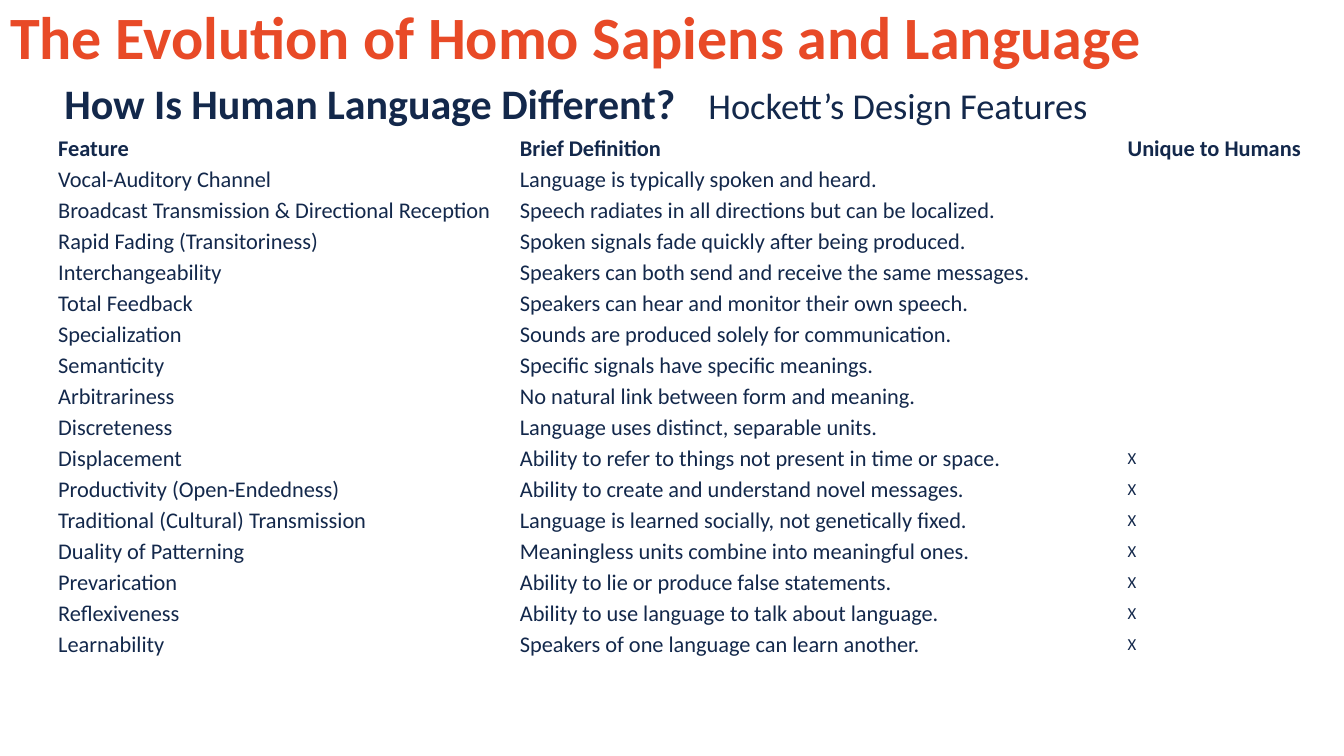
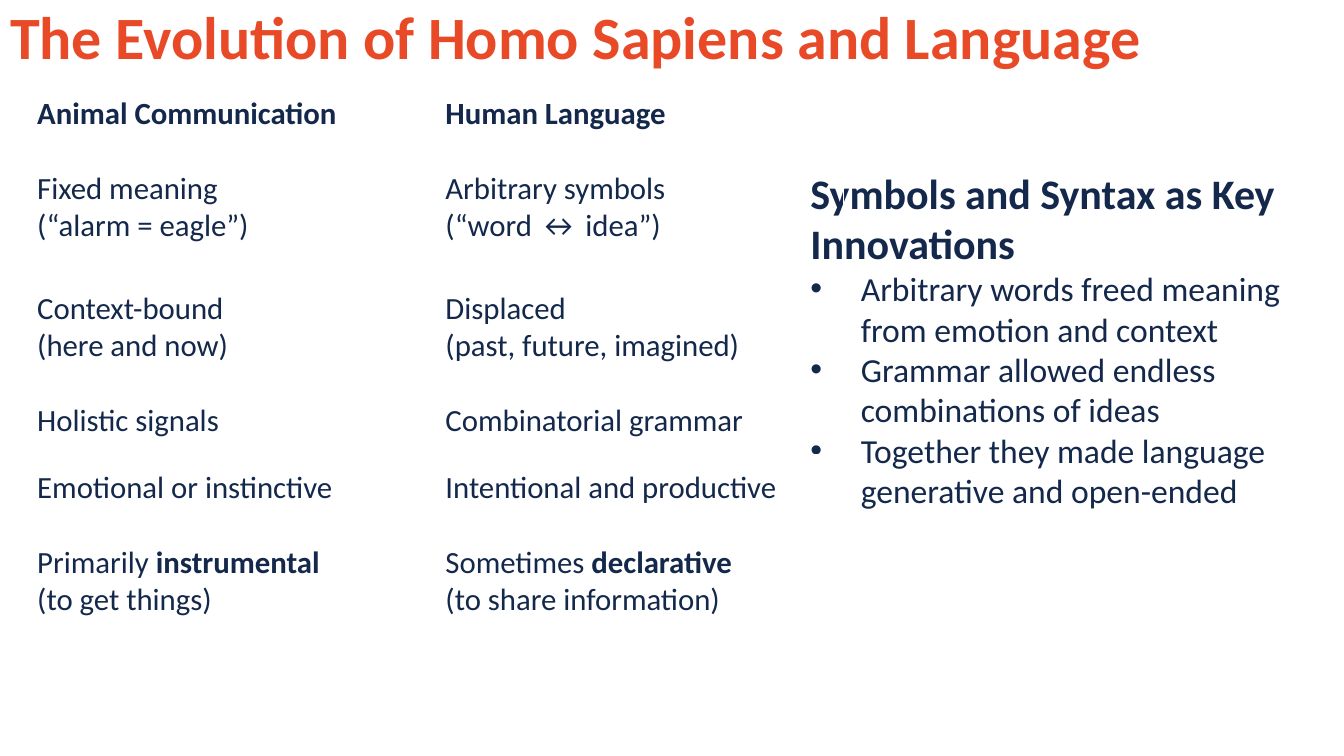
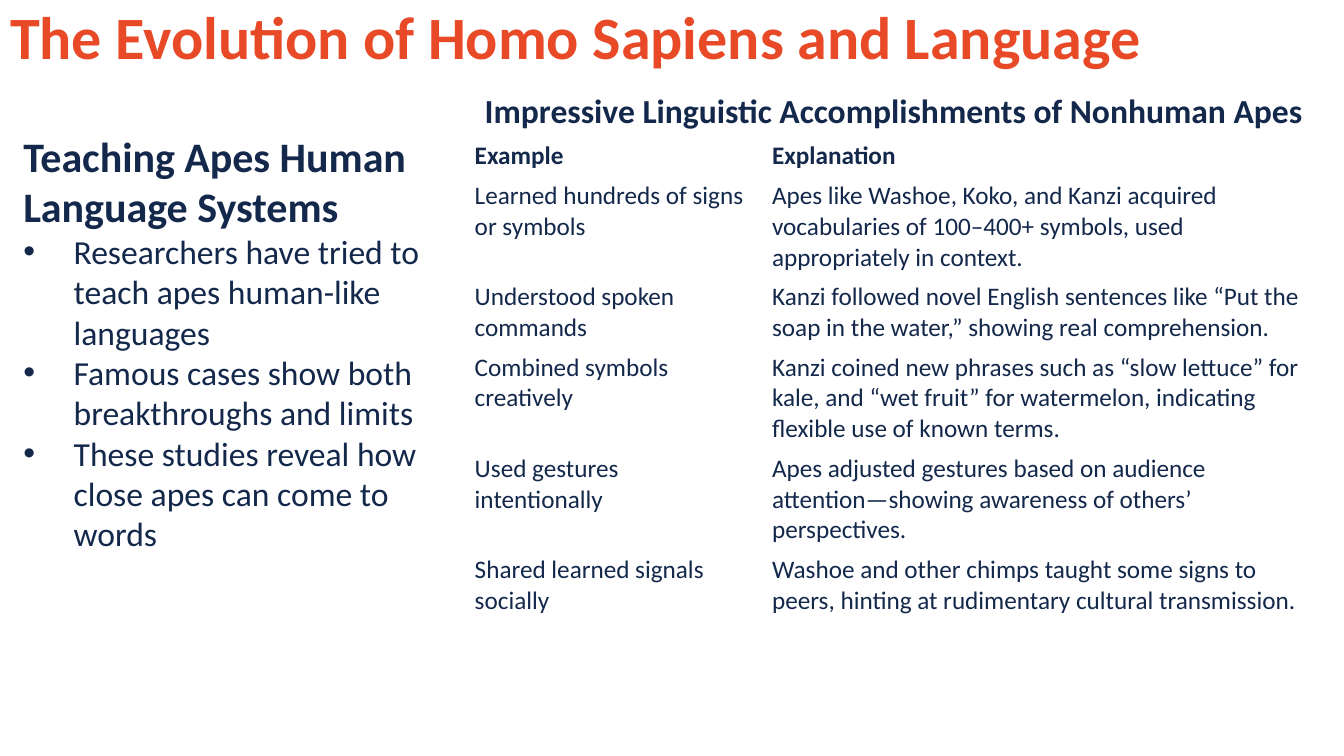
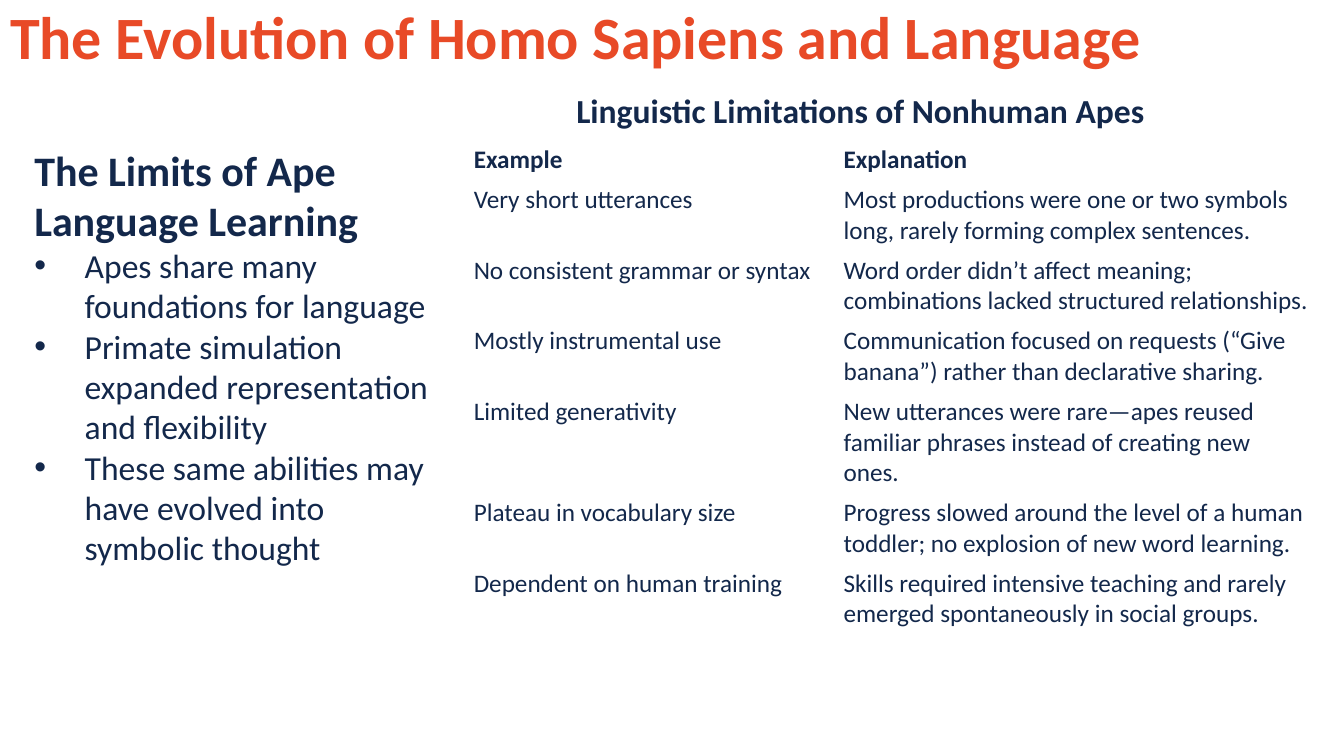
from dataclasses import dataclass

from lxml import etree
from pptx import Presentation
from pptx import util as u
from pptx.dml import color as dml
from pptx.enum import text as text_enum
from pptx.oxml import ns

Pt = u.Pt
ANCHOR = text_enum.MSO_ANCHOR
AUTO_SIZE = text_enum.MSO_AUTO_SIZE


@dataclass(frozen=True)
class Theme:
    font: str = "Calibri"
    orange: str = "E84A27"
    navy: str = "13284B"
    title: float = 42.9
    heading: int = 30
    aside: int = 26
    body: int = 24
    comparison: int = 22
    table: int = 18
    dense: int = 16
    mark: int = 12


THEME = Theme()


def write(paragraph, content, size, bold=False, color=THEME.navy):
    for index, line in enumerate(content.split("\n")):
        if index:
            paragraph.add_line_break()
        if line:
            run = paragraph.add_run()
            run.text = line
            run.font.name = THEME.font
            run.font.size = Pt(size)
            run.font.bold = bold
            run.font.color.rgb = dml.RGBColor.from_string(color)


def add_element(parent, tag, **attributes):
    return etree.SubElement(parent, ns.qn(tag), attributes)


class Deck:
    title_text = "The Evolution of Homo Sapiens and Language"

    def __init__(self, theme):
        self.theme = theme
        self.presentation = Presentation()
        self.presentation.slide_width = Pt(960)
        self.presentation.slide_height = Pt(540)
        self.slide = None

    def place(self, shape, left, top, width, height):
        shape.left, shape.top = Pt(left), Pt(top)
        shape.width, shape.height = Pt(width), Pt(height)

    def add_slide(self, layout):
        layouts = self.presentation.slide_layouts
        self.slide = self.presentation.slides.add_slide(layouts.get_by_name(layout))
        title = self.slide.shapes.title
        self.place(title, 0, 0, 904.3, 57.6)
        frame = title.text_frame
        frame.auto_size = AUTO_SIZE.NONE
        frame.vertical_anchor = ANCHOR.MIDDLE
        paragraph = frame.paragraphs[0]
        paragraph.alignment = text_enum.PP_ALIGN.LEFT
        paragraph.line_spacing = 0.9
        write(paragraph, self.title_text, self.theme.title, bold=True, color=self.theme.orange)

    def add_list(self, box, heading, items):
        body = self.slide.placeholders[1]
        self.place(body, *box)
        frame = body.text_frame
        frame.auto_size = AUTO_SIZE.SHAPE_TO_FIT_TEXT
        for index, content in enumerate([heading, *items]):
            paragraph = frame.add_paragraph() if index else frame.paragraphs[0]
            properties = paragraph._p.get_or_add_pPr()
            indent = Pt(36) if index else 0
            properties.set("marL", str(indent))
            properties.set("indent", str(-indent))
            if index:
                add_element(properties, "a:buFont", typeface="Arial")
                add_element(properties, "a:buChar", char="•")
            else:
                add_element(properties, "a:buNone")
            paragraph.space_before = Pt(0)
            size = self.theme.body if index else self.theme.heading
            write(paragraph, content, size, bold=index == 0)

    def add_label(self, box, wrap=False):
        label = self.slide.shapes.add_textbox(*map(Pt, box))
        label.text_frame.word_wrap = wrap
        label.text_frame.auto_size = AUTO_SIZE.SHAPE_TO_FIT_TEXT
        return label.text_frame.paragraphs[0]

    def add_caption(self, box, content):
        write(self.add_label(box), content, self.theme.body, bold=True)

    def add_split_heading(self, box, heading, aside, tab):
        paragraph = self.add_label(box, wrap=True)
        tabs = add_element(paragraph._p.get_or_add_pPr(), "a:tabLst")
        add_element(tabs, "a:tab", pos=str(Pt(tab)), algn="l")
        write(paragraph, heading + "\t", self.theme.heading, bold=True)
        write(paragraph, aside, self.theme.aside)

    def add_table(self, left, top, widths, heights, rows, size, body_anchor=ANCHOR.MIDDLE,
                  insets=(7.2, 3.6), mark_column=None):
        frame = self.slide.shapes.add_table(
            len(rows), len(widths), Pt(left), Pt(top), Pt(sum(widths)), Pt(sum(heights)))
        table = frame.table
        table.first_row = table.horz_banding = False
        for column, width in zip(table.columns, widths):
            column.width = Pt(width)
        for row_index, (row, height) in enumerate(zip(rows, heights)):
            table.rows[row_index].height = Pt(height)
            for column_index, content in enumerate(row):
                cell = table.cell(row_index, column_index)
                cell.fill.background()
                cell.margin_left = cell.margin_right = Pt(insets[0])
                cell.margin_top = cell.margin_bottom = Pt(insets[1])
                cell.vertical_anchor = body_anchor if row_index else ANCHOR.MIDDLE
                marked = row_index and column_index == mark_column
                cell_size = self.theme.mark if marked else size
                paragraph = cell.text_frame.paragraphs[0]
                runs = [(content, row_index == 0)] if isinstance(content, str) else content
                for words, bold in runs:
                    write(paragraph, words, cell_size, bold=bold)
                if not content:
                    add_element(paragraph._p, "a:endParaRPr", sz=str(cell_size * 100))

    def add_examples(self, left, top, widths, rows, lines):
        heights = [6.2 + 22 * count for count in lines]
        self.add_table(left, top, widths, heights, [("Example", "Explanation"), *rows],
                       self.theme.table, body_anchor=ANCHOR.TOP)


FEATURES = [
    ("Vocal-Auditory Channel", "Language is typically spoken and heard."),
    ("Broadcast Transmission & Directional Reception",
     "Speech radiates in all directions but can be localized."),
    ("Rapid Fading (Transitoriness)", "Spoken signals fade quickly after being produced."),
    ("Interchangeability", "Speakers can both send and receive the same messages."),
    ("Total Feedback", "Speakers can hear and monitor their own speech."),
    ("Specialization", "Sounds are produced solely for communication."),
    ("Semanticity", "Specific signals have specific meanings."),
    ("Arbitrariness", "No natural link between form and meaning."),
    ("Discreteness", "Language uses distinct, separable units."),
]
UNIQUE_FEATURES = [
    ("Displacement", "Ability to refer to things not present in time or space."),
    ("Productivity (Open-Endedness)", "Ability to create and understand novel messages."),
    ("Traditional (Cultural) Transmission",
     "Language is learned socially, not genetically fixed."),
    ("Duality of Patterning", "Meaningless units combine into meaningful ones."),
    ("Prevarication", "Ability to lie or produce false statements."),
    ("Reflexiveness", "Ability to use language to talk about language."),
    ("Learnability", "Speakers of one language can learn another."),
]
COMPARISON = [
    ("Animal Communication", "Human Language"),
    ("Fixed meaning\n(“alarm = eagle”)", "Arbitrary symbols\n(“word ↔ idea”)"),
    ("Context-bound\n(here and now)", "Displaced\n(past, future, imagined)"),
    ("Holistic signals", "Combinatorial grammar"),
    ("Emotional or instinctive", "Intentional and productive"),
    ([("Primarily ", False), ("instrumental\n", True), ("(to get things)", False)],
     [("Sometimes ", False), ("declarative\n", True), ("(to share information)", False)]),
]
ACCOMPLISHMENTS = [
    ("Learned hundreds of signs or symbols",
     "Apes like Washoe, Koko, and Kanzi acquired vocabularies of 100–400+ symbols, "
     "used appropriately in context."),
    ("Understood spoken commands",
     "Kanzi followed novel English sentences like “Put the soap in the water,” "
     "showing real comprehension."),
    ("Combined symbols creatively",
     "Kanzi coined new phrases such as “slow lettuce” for kale, and “wet fruit” "
     "for watermelon, indicating flexible use of known terms."),
    ("Used gestures intentionally",
     "Apes adjusted gestures based on audience attention—showing awareness of "
     "others’ perspectives."),
    ("Shared learned signals socially",
     "Washoe and other chimps taught some signs to peers, hinting at rudimentary "
     "cultural transmission."),
]
LIMITATIONS = [
    ("Very short utterances",
     "Most productions were one or two symbols long, rarely forming complex sentences."),
    ("No consistent grammar or syntax",
     "Word order didn’t affect meaning; combinations lacked structured relationships."),
    ("Mostly instrumental use",
     "Communication focused on requests (“Give banana”) rather than declarative sharing."),
    ("Limited generativity",
     "New utterances were rare—apes reused familiar phrases instead of creating new ones."),
    ("Plateau in vocabulary size",
     "Progress slowed around the level of a human toddler; no explosion of new word learning."),
    ("Dependent on human training",
     "Skills required intensive teaching and rarely emerged spontaneously in social groups."),
]


def design_features(deck):
    deck.add_slide("Title Only")
    deck.add_split_heading((38.9, 51.8, 910, 43.9), "How Is Human Language Different?",
                           "Hockett’s Design Features", tab=460)
    rows = [("Feature", "Brief Definition", "Unique to Humans")]
    rows += [(*feature, "") for feature in FEATURES]
    rows += [(*feature, "X") for feature in UNIQUE_FEATURES]
    deck.add_table(38.9, 95, (329.8, 434.2, 131.8), [22.15] * len(rows), rows,
                   deck.theme.dense, insets=(2.67, 1.33), mark_column=2)


def symbols_and_syntax(deck):
    deck.add_slide("Title and Content")
    deck.add_list((571.7, 115.9, 369.4, 254.2), "Symbols and Syntax as Key Innovations", [
        "Arbitrary words freed meaning from emotion and context",
        "Grammar allowed endless combinations of ideas",
        "Together they made language generative and open-ended",
    ])
    short, tall = 48, 85.5
    deck.add_table(19.4, 57.6, (291.6, 291.6), (short, tall, tall, short, short, tall),
                   COMPARISON, deck.theme.comparison)


def teaching_apes(deck):
    deck.add_slide("Title and Content")
    deck.add_list((9.4, 89.3, 305.3, 312.5), "Teaching Apes Human Language Systems", [
        "Researchers have tried to teach apes human-like languages",
        "Famous cases show both breakthroughs and limits",
        "These studies reveal how close apes can come to words",
    ])
    deck.add_examples(331.9, 96.5, (212.4, 393.8), ACCOMPLISHMENTS, (1, 3, 2, 3, 3, 2))
    deck.add_caption((339.1, 60.5, 599, 36),
                     "Impressive Linguistic Accomplishments of Nonhuman Apes")


def ape_limits(deck):
    deck.add_slide("Title and Content")
    deck.add_list((17.3, 99.4, 310.3, 312.5), "The Limits of Ape Language Learning", [
        "Apes share many foundations for language",
        "Primate simulation expanded representation and flexibility",
        "These same abilities may have evolved into symbolic thought",
    ])
    deck.add_caption((404.6, 60.5, 424.8, 36), "Linguistic Limitations of Nonhuman Apes")
    deck.add_examples(331.2, 99.4, (264.2, 347.8), LIMITATIONS, (1, 2, 2, 2, 3, 2, 2))


def main():
    deck = Deck(THEME)
    for build in (design_features, symbols_and_syntax, teaching_apes, ape_limits):
        build(deck)
    deck.presentation.save("out.pptx")


if __name__ == "__main__":
    main()
